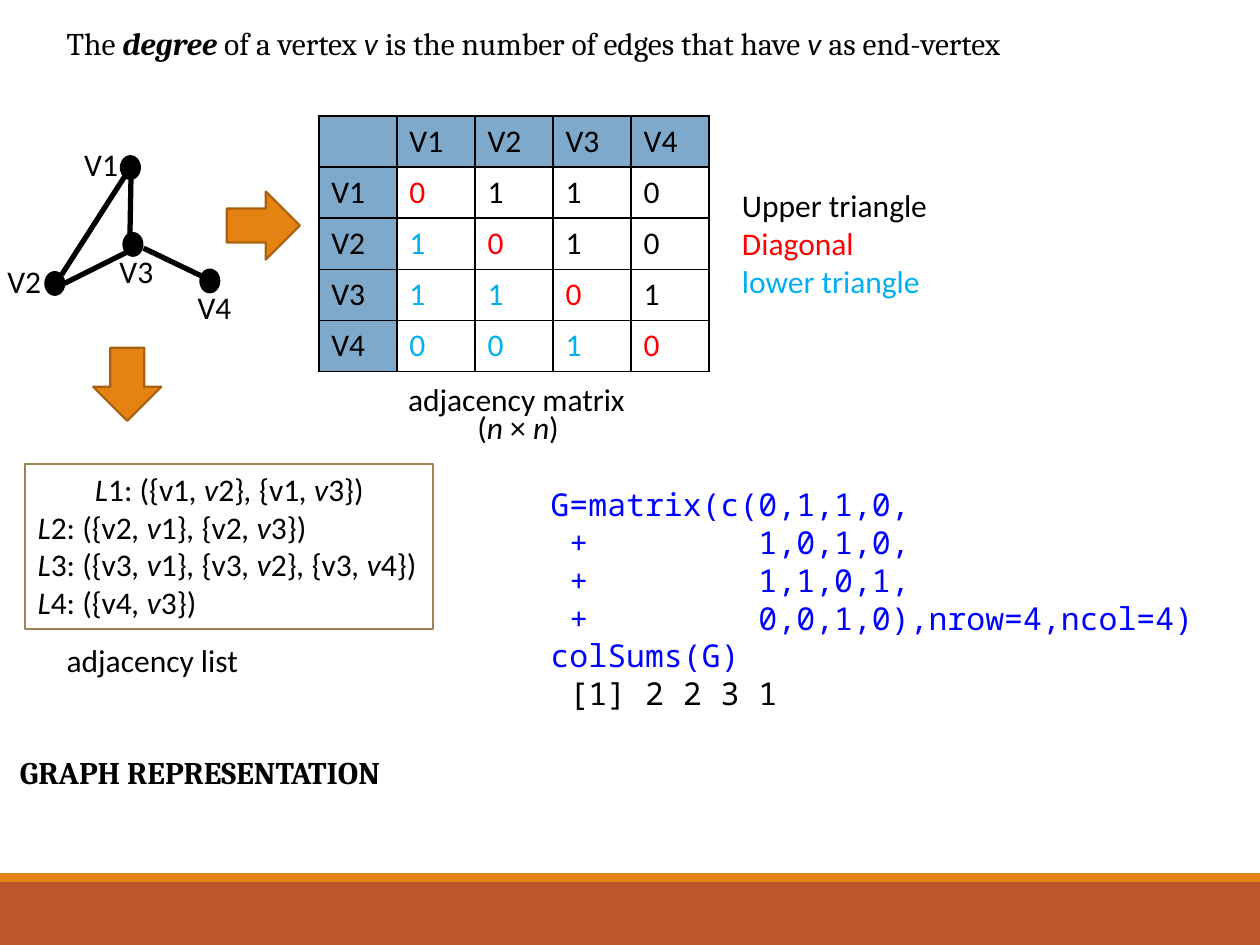
from lxml import etree
from pptx import Presentation
from pptx.dml.color import RGBColor
from pptx.enum.shapes import MSO_CONNECTOR, MSO_SHAPE
from pptx.enum.text import MSO_ANCHOR, MSO_AUTO_SIZE
from pptx.oxml.ns import qn
from pptx.util import Inches, Pt

BLACK = RGBColor(0x00, 0x00, 0x00)
WHITE = RGBColor(0xFF, 0xFF, 0xFF)
RED = RGBColor(0xFF, 0x00, 0x00)
SKY = RGBColor(0x00, 0xB0, 0xF0)
BLUE = RGBColor(0x00, 0x00, 0xFF)
STEEL = RGBColor(0x7E, 0xA9, 0xCA)
ORANGE = RGBColor(0xE4, 0x83, 0x12)
RUST = RGBColor(0xBD, 0x58, 0x2C)
BROWN = RGBColor(0xA9, 0x61, 0x0D)
TAN = RGBColor(0x9B, 0x83, 0x57)
RECT, OVAL, ARROW = MSO_SHAPE.RECTANGLE, MSO_SHAPE.OVAL, MSO_SHAPE.RIGHT_ARROW
LINE = MSO_CONNECTOR.STRAIGHT
TOP, MIDDLE = MSO_ANCHOR.TOP, MSO_ANCHOR.MIDDLE
NO_FIT = MSO_AUTO_SIZE.NONE
NAMES = ["V1", "V2", "V3", "V4"]
MATRIX = [[0, 1, 1, 0], [1, 0, 1, 0], [1, 1, 0, 1], [0, 0, 1, 0]]


def write(frame, lines, font="Calibri", color=BLACK, bold=False, wrap=False,
          anchor=TOP, inset=None):
    """Fill a text frame with lines, each a string or a list of (text, format) runs."""
    frame.word_wrap = wrap
    frame.auto_size = NO_FIT
    frame.vertical_anchor = anchor
    if inset is not None:
        frame.margin_left = frame.margin_right = Inches(inset)
        frame.margin_top = frame.margin_bottom = Inches(inset)
    for i, line in enumerate(lines):
        para = frame.paragraphs[0] if i == 0 else frame.add_paragraph()
        for text, look in [(line, {})] if isinstance(line, str) else line:
            run = para.add_run()
            run.text = text
            run.font.size = Pt(18)
            run.font.name = look.get("font", font)
            run.font.color.rgb = look.get("color", color)
            run.font.bold = look.get("bold", bold)
            run.font.italic = look.get("italic", False)


def slant(text):
    """Split text at asterisks into runs, every second one italic."""
    parts = enumerate(text.split("*"))
    return [(part, {"italic": i % 2 == 1}) for i, part in parts if part]


def label(slide, box, lines, **look):
    """Add a text box."""
    write(slide.shapes.add_textbox(*map(Inches, box)).text_frame, lines, **look)


def shape(slide, kind, box, fill, line=None):
    """Add a flat preset shape."""
    item = slide.shapes.add_shape(kind, *map(Inches, box))
    item.shadow.inherit = False
    item.fill.solid()
    item.fill.fore_color.rgb = fill
    if line is None:
        item.line.fill.background()
    else:
        item.line.color.rgb = line
        item.line.width = Pt(1.25)
    return item


def footer(slide, left, top, width, height):
    """Draw the two bands at the foot of the slide."""
    thin = 0.07
    shape(slide, RECT, (left, top + thin, width, height - thin), RUST)
    shape(slide, RECT, (left, top, width, thin), ORANGE)


def graph(slide, left, top):
    """Draw the vertices, edges and names of the graph."""
    dots = [(1.0, 0.14), (0.4, 1.06), (1.02, 0.75), (1.63, 1.04)]
    edges = [(1.03, 0.3, 0.53, 1.08), (1.08, 0.3, 1.07, 0.84),
             (1.17, 0.84, 0.55, 1.15), (1.66, 1.1, 1.18, 0.87)]
    spots = [(0.61, 0), (0, 0.93), (0.89, 0.85), (1.51, 1.14)]
    for x, y in dots:
        shape(slide, OVAL, (left + x, top + y, 0.15, 0.18), BLACK, BLACK)
    for x1, y1, x2, y2 in edges:
        ends = (left + x1, top + y1, left + x2, top + y2)
        edge = slide.shapes.add_connector(LINE, *map(Inches, ends))
        edge.line.color.rgb = BLACK
        edge.line.width = Pt(3)
        etree.SubElement(edge.element.spPr, qn("a:effectLst"))
    for name, (x, y) in zip(NAMES, spots):
        label(slide, (left + x, top + y, 0.47, 0.4), [name])


def border(cell):
    """Give a cell thin black borders."""
    props = cell._tc.get_or_add_tcPr()
    for side in ("a:lnL", "a:lnR", "a:lnT", "a:lnB"):
        edge = etree.SubElement(props, qn(side), w=str(Pt(1)))
        fill = etree.SubElement(edge, qn("a:solidFill"))
        etree.SubElement(fill, qn("a:srgbClr"), val=str(BLACK))


def matrix(slide, left, top, width, height):
    """Draw the adjacency matrix, coloured by its triangles, and its caption."""
    rows = [[""] + NAMES] + [[name] + row for name, row in zip(NAMES, MATRIX)]
    count = len(rows)
    box = map(Inches, (left, top, width, height))
    grid = slide.shapes.add_table(count, count, *box).table
    grid.first_row = grid.horz_banding = False
    for r, row in enumerate(rows):
        for c, value in enumerate(row):
            cell = grid.cell(r, c)
            border(cell)
            color = BLACK
            if r == 0 or c == 0:
                cell.fill.solid()
                cell.fill.fore_color.rgb = STEEL
            else:
                cell.fill.background()
                color = RED if r == c else SKY if r > c else BLACK
            write(cell.text_frame, [str(value)], color=color, wrap=True)
    base = top + height
    label(slide, (left + 0.61, base + 0.02, 1.94, 0.4), ["adjacency matrix"])
    label(slide, (left + 1.16, base + 0.24, 0.86, 0.4), [slant("(*n *× *n*)")])


def listing(slide, left, top, width, height):
    """Draw the framed adjacency list and its caption."""
    links = [(i + 1, [j + 1 for j, bit in enumerate(row) if bit])
             for i, row in enumerate(MATRIX)]
    lines = []
    for i, ends in links:
        pairs = "*, *".join(f"{{v{i}*, v*{j}}}" for j in ends)
        lines.append(slant(f"*L*{i}: ({pairs})"))
    frame = shape(slide, RECT, (left, top, width, height), WHITE, TAN).text_frame
    write(frame, lines)
    label(slide, (left + 0.23, top + height + 0.05, 1.58, 0.4), ["adjacency list"])


def code(slide, left, top, width, height):
    """Show the program, with its rows lined up at a tab stop."""
    rows = [",".join(map(str, row)) for row in MATRIX]
    lines = [f"G=matrix(c({rows[0]},", f" +\t{rows[1]},", f" +\t{rows[2]},",
             f" +\t{rows[3]}),nrow=4,ncol=4)", "colSums(G)",
             [(" [1] 2 2 3 1", {"color": BLACK})]]
    frame = shape(slide, RECT, (left, top, width, height), WHITE).text_frame
    write(frame, lines, font="Noto Sans Mono", color=BLUE, anchor=MIDDLE, inset=0)
    for para in frame.paragraphs:
        props = para._p.get_or_add_pPr()
        props.set("algn", "l")
        tabs = etree.SubElement(props, qn("a:tabLst"))
        etree.SubElement(tabs, qn("a:tab"), pos=str(Inches(1.65)), algn="l")


def legend(slide, left, top, width, height):
    """Name the colours of the matrix."""
    lines = ["Upper triangle", [("Diagonal", {"color": RED})],
             [("lower triangle", {"color": SKY})]]
    label(slide, (left, top, width, height), lines)


def main():
    """Build the slide and save it."""
    deck = Presentation()
    deck.slide_width, deck.slide_height = Inches(10), Inches(7.5)
    slide = deck.slides.add_slide(deck.slide_layouts[6])
    footer(slide, 0, 6.93, 10, 0.57)
    term = {"font": "Calibri", "italic": True}
    label(slide, (0.43, 0.14, 8.59, 0.4), [[
        ("The ", {}), ("degree ", {"bold": True, "italic": True}),
        ("of a vertex ", {}), ("v ", term),
        ("is the number of edges that have ", {}), ("v ", term),
        ("as end-vertex", {})]], font="Cambria", wrap=True)
    graph(slide, -0.04, 1.1)
    shape(slide, ARROW, (1.8, 1.52, 0.58, 0.54), ORANGE, BROWN)
    shape(slide, ARROW, (0.72, 2.78, 0.58, 0.54), ORANGE, BROWN).rotation = 90
    matrix(slide, 2.53, 0.92, 3.1, 2.03)
    legend(slide, 5.79, 1.43, 1.69, 1.01)
    listing(slide, 0.2, 3.68, 3.24, 1.31)
    code(slide, 4.37, 3.84, 5.34, 1.82)
    label(slide, (0.06, 5.93, 3.47, 0.4), ["GRAPH REPRESENTATION"],
          font="Cambria", bold=True)
    deck.save("out.pptx")


if __name__ == "__main__":
    main()
